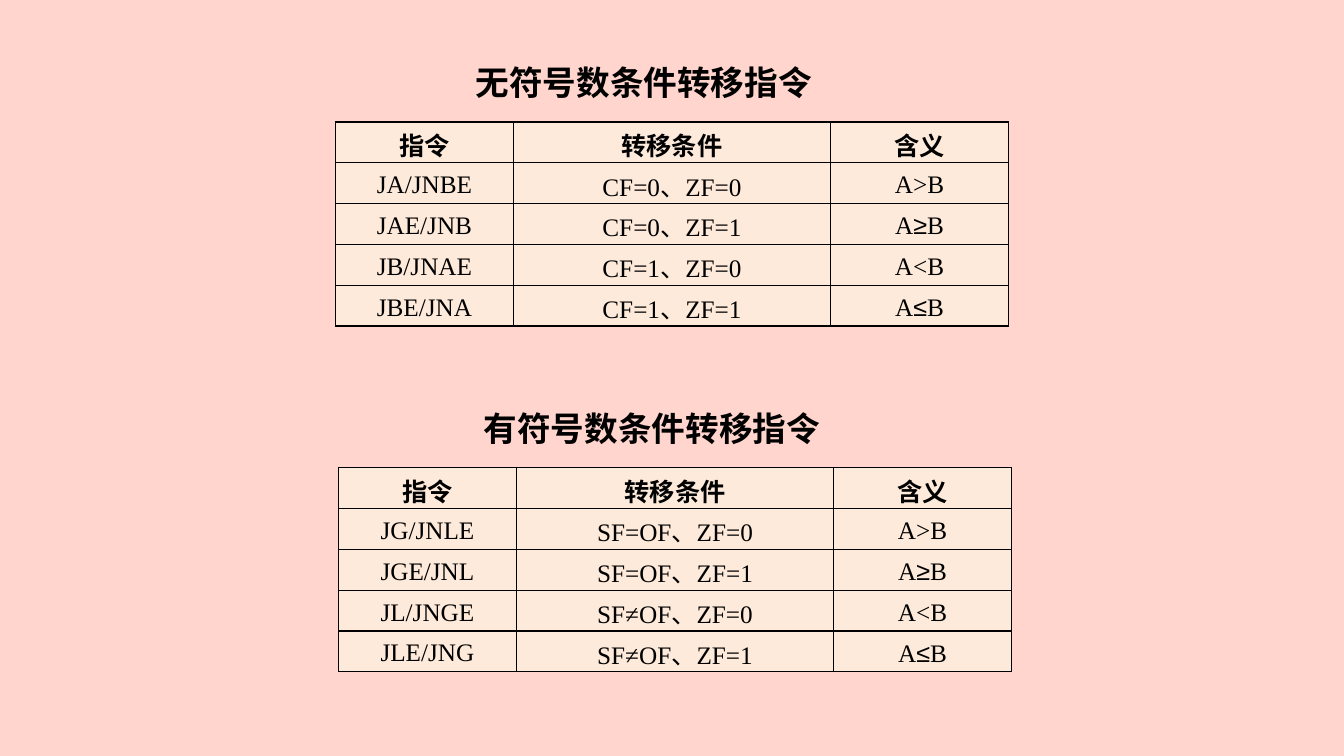
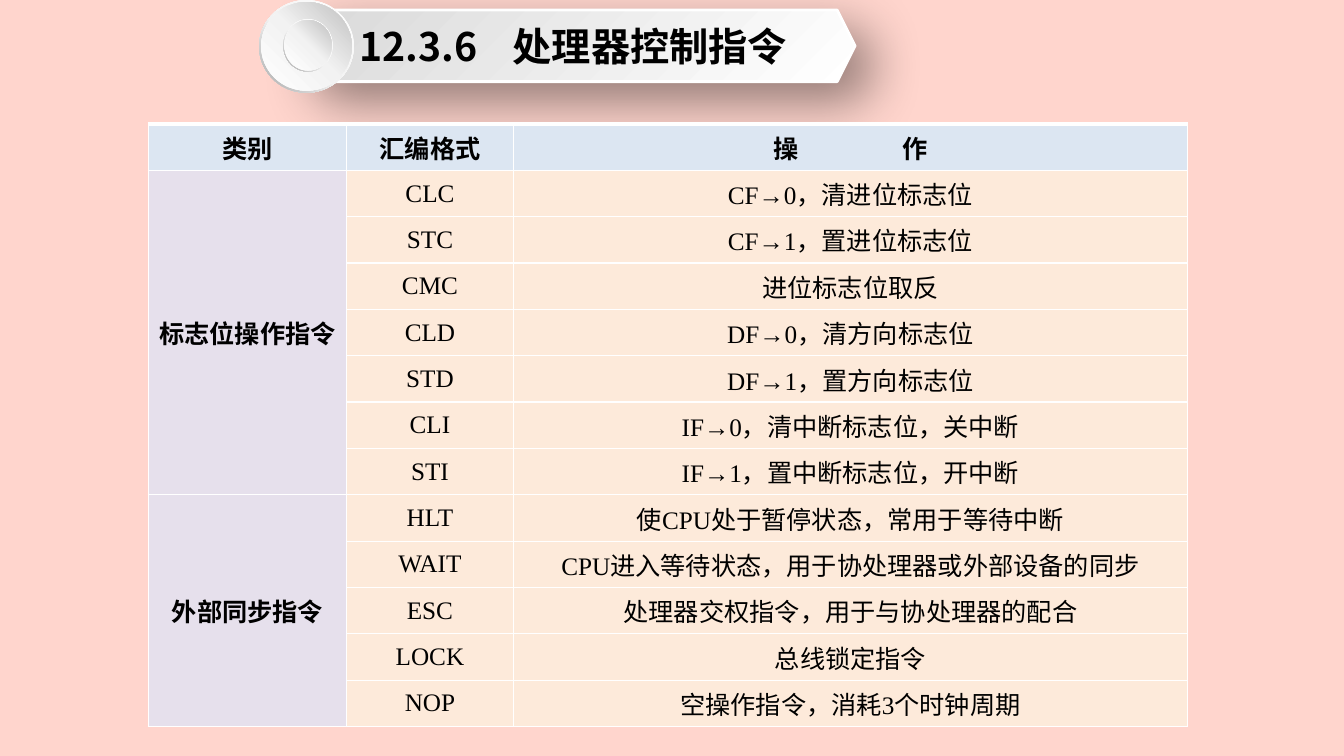
import pptx
import pptx.util
import pptx.dml.color
import pptx.enum.shapes
import pptx.enum.text
import pptx.oxml
import pptx.oxml.ns
import lxml.etree

Inches = pptx.util.Inches
Pt = pptx.util.Pt
qn = pptx.oxml.ns.qn
SHAPE = pptx.enum.shapes.MSO_SHAPE
ALIGN = pptx.enum.text.PP_ALIGN
MIDDLE = pptx.enum.text.MSO_ANCHOR.MIDDLE
DRAW = 'xmlns:a="http://schemas.openxmlformats.org/drawingml/2006/main"'

PINK, CREAM, BLUE, LILAC = "FFD5CD", "FDEADA", "DCE6F2", "E6E0EC"
BLACK, WHITE, GREY = "000000", "FFFFFF", "D9D9D9"
SERIF, HAN = "Times New Roman", "Noto Sans CJK SC"

AT_LEAST = ["A", ("≥", {"face": "Arial"}), "B"]
AT_MOST = ["A", ("≤", {"face": "Arial"}), "B"]
JUMP_HEAD = ["指令", "转移条件", "含义"]
JUMPS = [
    {"title": "无符号数条件转移指令", "at": (4.62, 0.58), "grid": (3.33, 1.21),
     "rows": [["JA/JNBE", "CF=0、ZF=0", "A>B"],
              ["JAE/JNB", "CF=0、ZF=1", AT_LEAST],
              ["JB/JNAE", "CF=1、ZF=0", "A<B"],
              ["JBE/JNA", "CF=1、ZF=1", AT_MOST]]},
    {"title": "有符号数条件转移指令", "at": (4.7, 4.01), "grid": (3.36, 4.64),
     "rows": [["JG/JNLE", "SF=OF、ZF=0", "A>B"],
              ["JGE/JNL", "SF=OF、ZF=1", AT_LEAST],
              ["JL/JNGE", "SF≠OF、ZF=0", "A<B"],
              ["JLE/JNG", "SF≠OF、ZF=1", AT_MOST]]},
]

BANNER = ["12.3.6", (" ", {"gap": 19}), "处理器控制指令"]
CONTROL_HEAD = ["类别", "汇编格式", ["操", (" ", {"gap": 70}), "作"]]
CONTROL = {
    "标志位操作指令": [
        ("CLC", "CF→0，清进位标志位"),
        ("STC", "CF→1，置进位标志位"),
        ("CMC", "进位标志位取反"),
        ("CLD", "DF→0，清方向标志位"),
        ("STD", "DF→1，置方向标志位"),
        ("CLI", "IF→0，清中断标志位，关中断"),
        ("STI", "IF→1，置中断标志位，开中断")],
    "外部同步指令": [
        ("HLT", "使CPU处于暂停状态，常用于等待中断"),
        ("WAIT", "CPU进入等待状态，用于协处理器或外部设备的同步"),
        ("ESC", "处理器交权指令，用于与协处理器的配合"),
        ("LOCK", "总线锁定指令"),
        ("NOP", "空操作指令，消耗3个时钟周期")],
}

# Shape, box, gradient stops, clockwise angle
RING = [(0, WHITE), (55, "F2F2F2"), (100, "A6A6A6")]
DISC = [(0, WHITE), (51, "F2F2F2"), (100, "BFBFBF")]
KNOB = [
    (SHAPE.DONUT, (2.57, 0, 0.94, 0.92), RING, 135),
    (SHAPE.OVAL, (2.59, 0.02, 0.9, 0.88), DISC, 315),
    (SHAPE.DONUT, (2.81, 0.19, 0.49, 0.52), RING, 135),
    (SHAPE.OVAL, (2.82, 0.2, 0.47, 0.5), DISC, 315),
]


def color(code):
    return pptx.dml.color.RGBColor.from_string(code)


def write(frame, parts, size=18, face=SERIF, bold=False, align=ALIGN.CENTER):
    """Fill a frame with a string, or with a list of strings and (string, format) pairs."""
    para = frame.paragraphs[0]
    para.alignment = align
    for part in [parts] if isinstance(parts, str) else parts:
        words, extra = (part, {}) if isinstance(part, str) else part
        run = para.add_run()
        run.text = words
        run.font.size = Pt(size)
        run.font.bold = bold
        run.font.color.rgb = color(BLACK)
        run.font.name = extra.get("face", face)
        props = run._r.get_or_add_rPr()
        lxml.etree.SubElement(props, qn("a:ea")).set("typeface", HAN)
        if "gap" in extra:
            props.set("spc", str(extra["gap"] * 100))


def shade(shape, stops, angle):
    """Give a shape a linear gradient; the angle runs clockwise."""
    marks = "".join(f'<a:gs pos="{pos * 1000}"><a:srgbClr val="{code}"/></a:gs>'
                    for pos, code in stops)
    shape.fill.background()
    props = shape._element.spPr
    props.replace(props.find(qn("a:noFill")), pptx.oxml.parse_xml(
        f'<a:gradFill {DRAW} rotWithShape="1"><a:gsLst>{marks}</a:gsLst>'
        f'<a:lin ang="{angle * 60000}" scaled="0"/></a:gradFill>'))


def cast(shape):
    """Drop a soft shadow to the lower right."""
    shape.shadow.inherit = False
    glow = shape._element.spPr.find(qn("a:effectLst"))
    glow.append(pptx.oxml.parse_xml(
        f'<a:outerShdw {DRAW} blurRad="{Pt(38)}" dist="{Pt(19)}" dir="{45 * 60000}"'
        ' algn="tl" rotWithShape="0"><a:srgbClr val="000000">'
        '<a:alpha val="42000"/></a:srgbClr></a:outerShdw>'))


def border(cell, code, top=1):
    props = cell._tc.get_or_add_tcPr()
    for side, width in (("L", 1), ("R", 1), ("T", top), ("B", 1)):
        props.append(pptx.oxml.parse_xml(
            f'<a:ln{side} {DRAW} w="{Pt(width)}"><a:solidFill>'
            f'<a:srgbClr val="{code}"/></a:solidFill></a:ln{side}>'))


def style(cell, parts, fill, line, bold=False, top=1):
    border(cell, line, top)
    cell.fill.solid()
    cell.fill.fore_color.rgb = color(fill)
    cell.vertical_anchor = MIDDLE
    write(cell.text_frame, parts, bold=bold)


def grid(slide, at, widths, count, height):
    """Add a plain table with equal rows."""
    spot = [Inches(n) for n in (*at, sum(widths), count * height)]
    table = slide.shapes.add_table(count, len(widths), *spot).table
    table.first_row = table.horz_banding = False
    for column, width in zip(table.columns, widths):
        column.width = Inches(width)
    for row in table.rows:
        row.height = Inches(height)
    return table


def page(deck):
    slide = deck.slides.add_slide(deck.slide_layouts[6])
    slide.background.fill.solid()
    slide.background.fill.fore_color.rgb = color(PINK)
    return slide


def jumps(deck):
    slide = page(deck)
    for group in JUMPS:
        box = slide.shapes.add_textbox(
            *[Inches(n) for n in (*group["at"], 3.53, 0.47)])
        frame = box.text_frame
        frame.word_wrap = False
        frame.margin_top = frame.margin_bottom = 0
        frame.vertical_anchor = MIDDLE
        write(frame, group["title"], size=24, face="Calibri", bold=True,
              align=ALIGN.LEFT)
        rows = [JUMP_HEAD] + group["rows"]
        table = grid(slide, group["grid"], (1.76, 3.15, 1.76), len(rows), 0.405)
        for r, row in enumerate(rows):
            for c, parts in enumerate(row):
                cell = table.cell(r, c)
                cell.margin_top, cell.margin_bottom = Inches(0.04), 0
                style(cell, parts, CREAM, BLACK, bold=r == 0)


def banner(slide):
    group = slide.shapes.add_group_shape()
    plate = group.shapes.add_shape(
        SHAPE.HEXAGON, *[Inches(n) for n in (2.89, 0.1, 5.59, 0.71)])
    shade(plate, [(0, WHITE), (100, GREY)], 225)
    plate.line.color.rgb = color(WHITE)
    plate.line.width = Pt(2)
    cast(plate)
    plate.text_frame.word_wrap = False
    plate.text_frame.vertical_anchor = MIDDLE
    write(plate.text_frame, BANNER, size=28, face=HAN, bold=True)
    for kind, box, stops, angle in KNOB:
        part = group.shapes.add_shape(kind, *[Inches(n) for n in box])
        if kind == SHAPE.DONUT:
            part.adjustments[0] = 0.05
        shade(part, stops, angle)
        part.line.fill.background()
        part.shadow.inherit = False


def control(deck):
    slide = page(deck)
    banner(slide)
    count = 1 + sum(len(items) for items in CONTROL.values())
    table = grid(slide, (1.47, 1.23), (1.97, 1.65, 6.69), count, 0.46)
    for c, parts in enumerate(CONTROL_HEAD):
        style(table.cell(0, c), parts, BLUE, WHITE, bold=True, top=3)
    r = 1
    for label, items in CONTROL.items():
        first = table.cell(r, 0)
        first.merge(table.cell(r + len(items) - 1, 0))
        style(first, label, LILAC, WHITE, bold=True)
        for code, action in items:
            style(table.cell(r, 1), code, CREAM, WHITE)
            style(table.cell(r, 2), action, CREAM, WHITE)
            r += 1


def main():
    deck = pptx.Presentation()
    deck.slide_width, deck.slide_height = Inches(13.33), Inches(7.5)
    jumps(deck)
    control(deck)
    deck.save("out.pptx")


if __name__ == "__main__":
    main()
